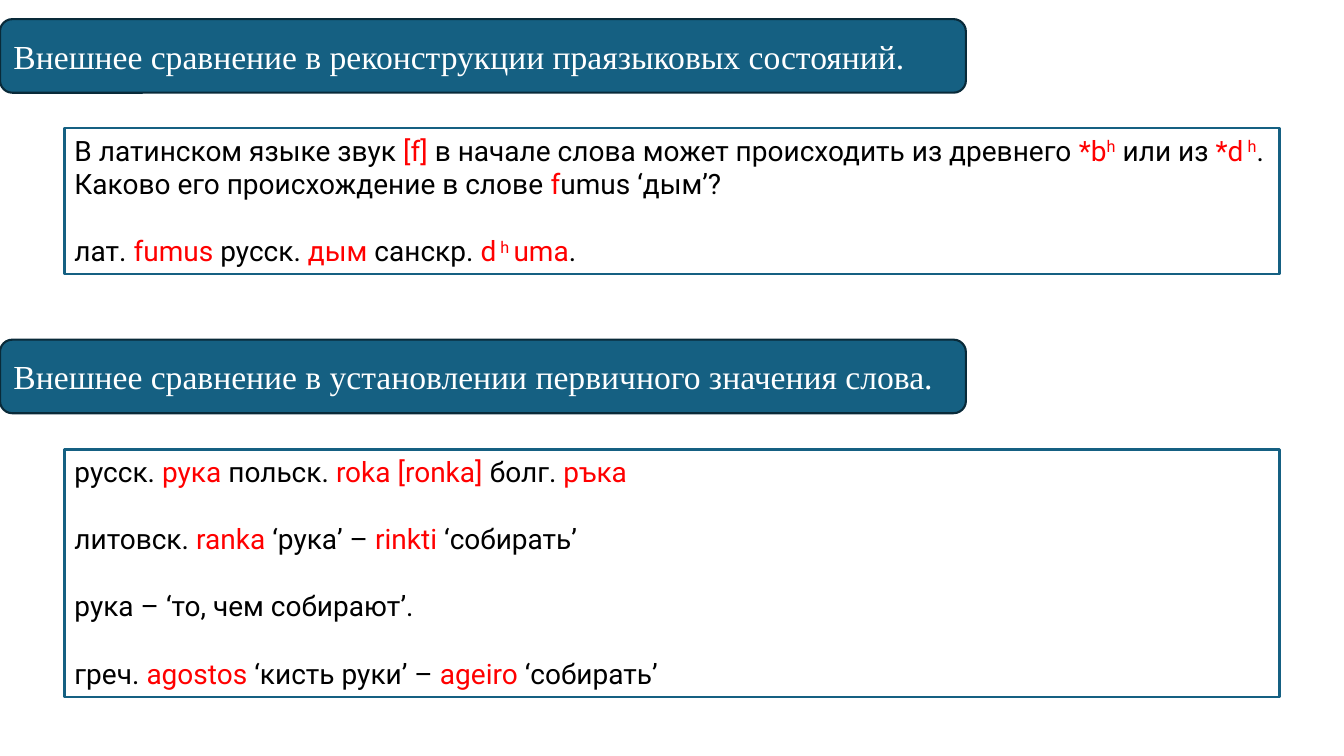
"""Build the slide on external comparison in historical linguistics."""
from dataclasses import dataclass

from pptx import Presentation
from pptx import util as u
from pptx.dml.color import RGBColor
from pptx.enum import shapes, text

PX = u.Inches(1) // 100


@dataclass(frozen=True)
class Theme:
    """Colours, fonts and type sizes of the slide."""
    paper: str = "FFFFFF"
    ink: str = "000000"
    example: str = "FF0000"
    accent: str = "156082"
    accent_edge: str = "092A39"
    heading_font: str = "Times New Roman"
    body_font: str = "Roboto"
    heading_size: int = 24
    body_size: int = 20
    paragraph_gap: int = 24
    outline: float = 1.5


THEME = Theme()

SECTIONS = [
    (19, 73, "Внешнее сравнение в реконструкции праязыковых состояний.",
     127, 145, [
         "В латинском языке звук |[f]| в начале слова может происходить "
         "из древнего |*b^h| или из |*d^ h|. Каково его происхождение "
         "в слове |f|umus ‘дым’?",
         "лат. |fumus| русск. |дым| санскр. |d^ h ^uma|.",
     ]),
    (337, 73, "Внешнее сравнение в установлении первичного значения слова.",
     446, 246, [
         "русск. |рука| польск. |roka [ronka] |болг. |ръка",
         "литовск. |ranka| ‘рука’ – |rinkti |‘собирать’",
         "рука – ‘то, чем собирают’.",
         "греч. |agostos| ‘кисть руки’ – |ageiro| ‘собирать’",
     ]),
]


def add_panel(slide, kind, left, top, width, height, fill, edge):
    """Add a filled, outlined panel without a shadow."""
    panel = slide.shapes.add_shape(
        kind, *(length * PX for length in (left, top, width, height)))
    panel.shadow.inherit = False
    panel.fill.solid()
    panel.fill.fore_color.rgb = RGBColor.from_string(fill)
    panel.line.color.rgb = RGBColor.from_string(edge)
    panel.line.width = u.Pt(THEME.outline)
    return panel


def write(paragraph, content, *, font, size, colors):
    """Write text where | switches colour and ^ switches superscript."""
    paragraph.alignment = text.PP_ALIGN.LEFT
    for part, phrase in enumerate(content.split("|")):
        for level, piece in enumerate(phrase.split("^")):
            if not piece:
                continue
            run = paragraph.add_run()
            run.text = piece
            run.font.name = font
            run.font.size = u.Pt(size)
            run.font.color.rgb = RGBColor.from_string(colors[part % 2])
            if level % 2:
                run.font._element.set("baseline", "30000")


def add_heading(slide, top, height, title):
    """Add a rounded section heading at the left edge."""
    banner = add_panel(slide, shapes.MSO_SHAPE.ROUNDED_RECTANGLE,
                       0, top, 958, height, THEME.accent, THEME.accent_edge)
    frame = banner.text_frame
    frame.word_wrap = True
    frame.vertical_anchor = text.MSO_ANCHOR.MIDDLE
    write(frame.paragraphs[0], title, font=THEME.heading_font,
          size=THEME.heading_size, colors=(THEME.paper, THEME.paper))


def add_examples(slide, top, height, examples):
    """Add a framed box with one paragraph for each example."""
    box = add_panel(slide, shapes.MSO_SHAPE.RECTANGLE,
                    64, top, 1205, height, THEME.paper, THEME.accent)
    frame = box.text_frame
    frame.word_wrap = True
    frame.vertical_anchor = text.MSO_ANCHOR.TOP
    for index, example in enumerate(examples):
        paragraph = frame.add_paragraph() if index else frame.paragraphs[0]
        if index:
            paragraph.space_before = u.Pt(THEME.paragraph_gap)
        write(paragraph, example, font=THEME.body_font,
              size=THEME.body_size, colors=(THEME.ink, THEME.example))


def main():
    """Build and save the slide."""
    deck = Presentation()
    deck.slide_width, deck.slide_height = 1333 * PX, 750 * PX
    slide = deck.slides.add_slide(deck.slide_layouts[6])
    for heading_top, heading_height, title, top, height, examples in SECTIONS:
        add_examples(slide, top, height, examples)
        add_heading(slide, heading_top, heading_height, title)
    deck.save("out.pptx")


if __name__ == "__main__":
    main()
